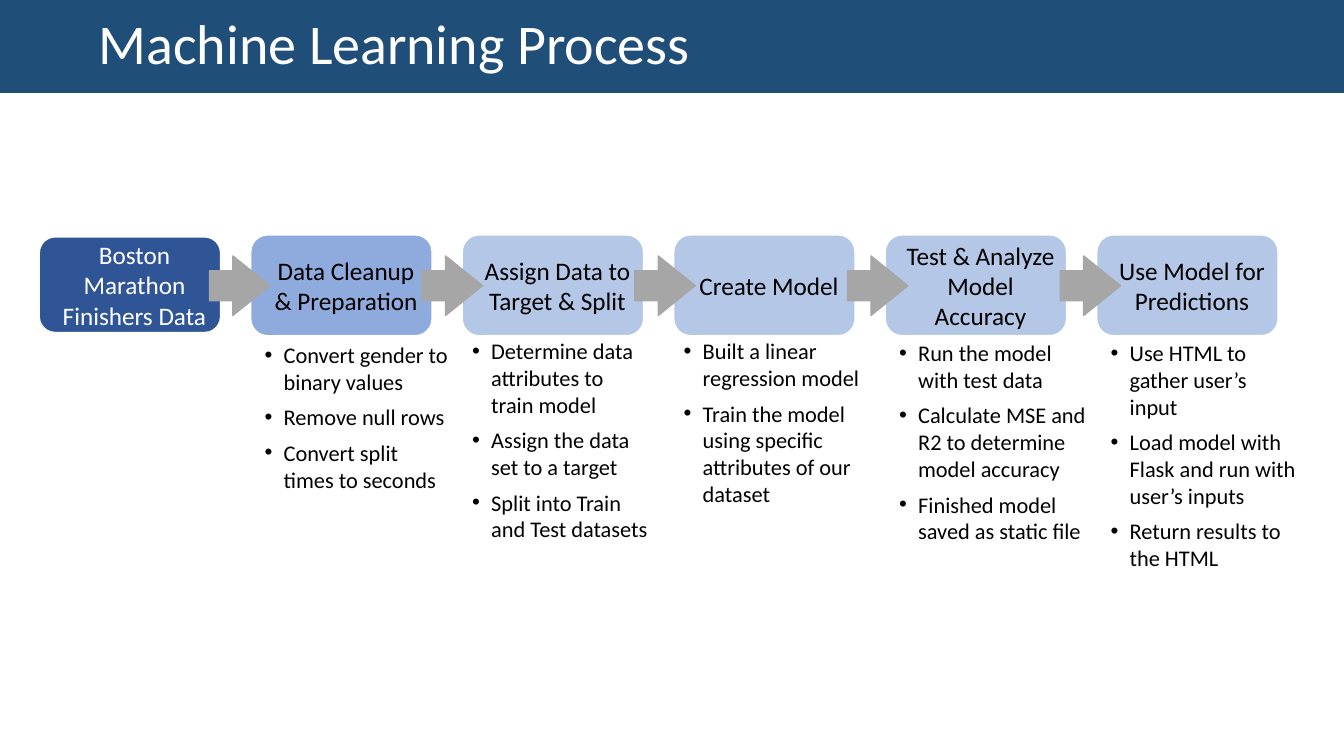
import pptx
import pptx.util
import pptx.dml.color
import pptx.enum.shapes
import pptx.enum.text
import pptx.oxml
import pptx.oxml.ns

Cm = pptx.util.Cm
Pt = pptx.util.Pt
Shape = pptx.enum.shapes.MSO_SHAPE

COLORS = {
    "banner": "1F4E79", "source": "2F5597", "cleanup": "8FAADC",
    "step": "B4C7E7", "arrow": "A6A6A6", "white": "FFFFFF", "black": "000000",
}

STEP_LEFT, STEP_PITCH = 0.99, 5.33
ARROW_LEFT, ARROW_PITCH = 5.28, 5.36

STEPS = [
    ("Boston Marathon Finishers Data", "source", "white", 5.97, 2.41),
    ("Data Cleanup & Preparation", "cleanup", "black", 5.92, 2.54),
    ("Assign Data to Target & Split", "step", "black", 5.92, 2.54),
    ("Create Model", "step", "black", 5.92, 2.54),
    ("Test & Analyze Model Accuracy", "step", "black", 5.92, 2.54),
    ("Use Model for Predictions", "step", "black", 5.92, 2.54),
]

DETAILS = [
    ((0.1, 8.48, 5.13, 4.11), False,
     ["Convert gender to binary values", "Remove null rows",
      "Convert split times to seconds"]),
    ((0, 8.38, 5, 5.46), False,
     ["Determine data attributes to train model",
      "Assign the data set to a target",
      "Split into Train and Test datasets"]),
    ((0, 8.38, 5.11, 4.57), False,
     ["Built a linear regression model",
      "Train the model using specific attributes of our dataset"]),
    ((0.1, 8.43, 5.23, 5.46), True,
     ["Run the model with test data",
      "Calculate MSE and R2 to determine model accuracy",
      "Finished model saved as static file"]),
    ((0.1, 8.43, 5.23, 6.15), True,
     ["Use HTML to gather user’s input",
      "Load model with Flask and run with user’s inputs",
      "Return results to the HTML"]),
]


class ProcessSlide:
    """Draws the styled elements of a process diagram on one slide."""

    font_name = "Calibri"

    def __init__(self, deck):
        self.page = deck.slides.add_slide(deck.slide_layouts[6])

    def color(self, name):
        return pptx.dml.color.RGBColor.from_string(COLORS[name])

    def set_text(self, para, text, size, color):
        para.text = text
        para.font.name = self.font_name
        para.font.size = Pt(size)
        para.font.color.rgb = self.color(color)

    def shape(self, kind, place, fill, line=None):
        box = self.page.shapes.add_shape(kind, *map(Cm, place))
        box.shadow.inherit = False
        box.fill.solid()
        box.fill.fore_color.rgb = self.color(fill)
        if line:
            box.line.color.rgb = self.color(line)
            box.line.width = Pt(1)
        else:
            box.line.fill.background()
        return box

    def step(self, place, text, fill, color):
        box = self.shape(Shape.ROUNDED_RECTANGLE, place, fill, "white")
        frame = box.text_frame
        frame.word_wrap = True
        frame.vertical_anchor = pptx.enum.text.MSO_ANCHOR.MIDDLE
        frame.margin_left = Cm(0.33)
        frame.margin_right = frame.margin_top = frame.margin_bottom = Cm(0.1)
        para = frame.paragraphs[0]
        para.alignment = pptx.enum.text.PP_ALIGN.CENTER
        self.set_text(para, text, 18, color)

    def arrow(self, place):
        arrow = self.shape(Shape.RIGHT_ARROW, place, "arrow", "arrow")
        arrow.adjustments[0] = 0.5
        arrow.adjustments[1] = 0.62

    def text_frame(self, place):
        frame = self.page.shapes.add_textbox(*map(Cm, place)).text_frame
        frame.word_wrap = True
        frame.auto_size = pptx.enum.text.MSO_AUTO_SIZE.SHAPE_TO_FIT_TEXT
        return frame

    def title(self, place, text):
        self.set_text(self.text_frame(place).paragraphs[0], text, 40, "white")

    def bullets(self, place, items, gap_before):
        frame = self.text_frame(place)
        for index, item in enumerate(items):
            para = frame.add_paragraph() if index else frame.paragraphs[0]
            self.bullet(para)
            if gap_before:
                para.space_before = Pt(6)
            else:
                para.space_after = Pt(6)
            self.set_text(para, item, 16, "black")

    def bullet(self, para):
        properties = para._p.get_or_add_pPr()
        indent = Cm(0.48)
        properties.set("marL", str(indent))
        properties.set("indent", str(-indent))
        for tag, key, value in (("buFont", "typeface", "Arial"),
                                ("buChar", "char", "•")):
            mark = pptx.oxml.parse_xml(
                f'<a:{tag} {pptx.oxml.ns.nsdecls("a")} {key}="{value}"/>')
            properties.append(mark)


def main():
    deck = pptx.Presentation()
    deck.slide_width = Cm(33.87)
    deck.slide_height = Cm(19.05)
    slide = ProcessSlide(deck)

    slide.shape(Shape.RECTANGLE, (0, 0, 33.87, 2.34), "banner")
    slide.title((2.24, 0.08, 31.62, 1.96), "Machine Learning Process")

    for index, (text, fill, color, top, height) in enumerate(STEPS):
        left = STEP_LEFT + index * STEP_PITCH
        slide.step((left, top, 4.57, height), text, fill, color)

    for index, (place, gap_before, items) in enumerate(DETAILS, start=1):
        offset, top, width, height = place
        left = STEP_LEFT + index * STEP_PITCH + offset
        slide.bullets((left, top, width, height), items, gap_before)

    for index in range(len(STEPS) - 1):
        slide.arrow((ARROW_LEFT + index * ARROW_PITCH, 6.45, 1.52, 1.5))

    deck.save("out.pptx")


if __name__ == "__main__":
    main()
